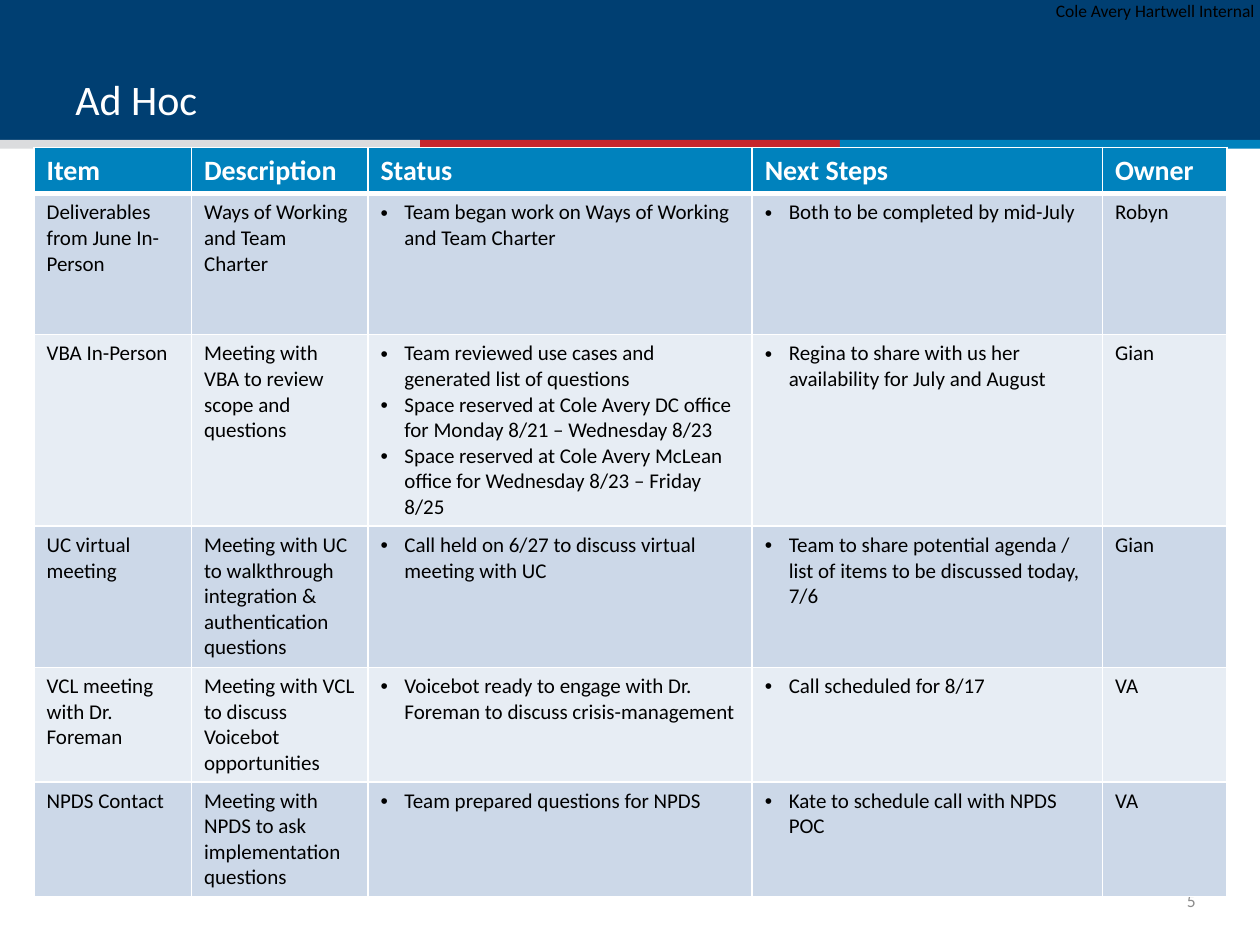
from dataclasses import dataclass

import lxml.etree
import pptx
import pptx.dml.color
import pptx.enum.shapes
import pptx.enum.text
import pptx.oxml.ns
import pptx.util

Anchor = pptx.enum.text.MSO_ANCHOR
Align = pptx.enum.text.PP_ALIGN
qn = pptx.oxml.ns.qn

WIDTH, HEIGHT = pptx.util.Inches(10), pptx.util.Inches(7.5)
FONT = "Calibri"
COLORS = {
    "navy": "003F72", "silver": "DBDCDE", "red": "C6262D", "blue": "0082BD",
    "white": "FFFFFF", "black": "000000", "gray": "8C8C8C",
    "dark band": "CCD8E8", "light band": "E7EDF4",
}


@dataclass
class Box:
    """A frame in percent of the slide's width and height."""
    left: float
    top: float
    width: float
    height: float

    def frame(self) -> tuple[int, int, int, int]:
        return (int(WIDTH * self.left / 100), int(HEIGHT * self.top / 100),
                int(WIDTH * self.width / 100), int(HEIGHT * self.height / 100))


@dataclass
class Label:
    text: str
    box: Box
    size: int
    color: str
    anchor: Anchor = Anchor.TOP
    align: Align = Align.LEFT
    inset: bool = False


@dataclass
class Item:
    name: str
    description: str
    status: list[str]
    next_steps: list[str]
    owner: str
    height: float  # inches


STRIPES = ["silver", "red", "blue"]
LABELS = [
    Label("Cole Avery Hartwell Internal", Box(83.8, 0, 16.5, 2.27), 10, "black"),
    Label("Ad Hoc", Box(5, 1.87, 90, 11.87), 24, "white", Anchor.BOTTOM, inset=True),
    Label("5", Box(92.2, 92.67, 2.7, 5.33), 10, "gray", Anchor.MIDDLE, Align.RIGHT),
]
HEADINGS = ["Item", "Description", "Status", "Next Steps", "Owner"]
COLUMN_WIDTHS = [1.25, 1.4, 3.05, 2.78, 0.99]
HEADER_HEIGHT = 0.36
ITEMS = [
    Item("Deliverables from June In-Person", "Ways of Working and Team Charter",
         ["Team began work on Ways of Working and Team Charter"],
         ["Both to be completed by mid-July"], "Robyn", 1.12),
    Item("VBA In-Person", "Meeting with VBA to review scope and questions",
         ["Team reviewed use cases and generated list of questions",
          "Space reserved at Cole Avery DC office for Monday 8/21 – Wednesday 8/23",
          "Space reserved at Cole Avery McLean office for Wednesday 8/23 – Friday 8/25"],
         ["Regina to share with us her availability for July and August"], "Gian", 1.52),
    Item("UC virtual meeting",
         "Meeting with UC to walkthrough integration & authentication questions",
         ["Call held on 6/27 to discuss virtual meeting with UC"],
         ["Team to share potential agenda / list of items to be discussed today, 7/6"],
         "Gian", 1.12),
    Item("VCL meeting with Dr. Foreman", "Meeting with VCL to discuss Voicebot opportunities",
         ["Voicebot ready to engage with Dr. Foreman to discuss crisis-management"],
         ["Call scheduled for 8/17"], "VA", 0.91),
    Item("NPDS Contact", "Meeting with NPDS to ask implementation questions",
         ["Team prepared questions for NPDS"],
         ["Kate to schedule call with NPDS POC"], "VA", 0.91),
]


def rgb(name: str) -> pptx.dml.color.RGBColor:
    return pptx.dml.color.RGBColor.from_string(COLORS[name])


def style_font(paragraph, size: int, color: str, bold: bool = False) -> None:
    font = paragraph.font
    font.name, font.size, font.bold = FONT, pptx.util.Pt(size), bold
    font.color.rgb = rgb(color)


def draw_band(slide, box: Box, color: str) -> None:
    shape = slide.shapes.add_shape(pptx.enum.shapes.MSO_SHAPE.RECTANGLE, *box.frame())
    shape.shadow.inherit = False
    shape.fill.solid()
    shape.fill.fore_color.rgb = rgb(color)
    shape.line.fill.background()


def draw_label(slide, label: Label) -> None:
    frame = slide.shapes.add_textbox(*label.box.frame()).text_frame
    frame.word_wrap = True
    frame.vertical_anchor = label.anchor
    if not label.inset:
        frame.margin_left = frame.margin_right = frame.margin_top = frame.margin_bottom = 0
    paragraph = frame.paragraphs[0]
    paragraph.text, paragraph.alignment = label.text, label.align
    style_font(paragraph, label.size, label.color)


def add_bullet(paragraph) -> None:
    properties = paragraph._p.get_or_add_pPr()
    indent = pptx.util.Inches(0.19)
    properties.set("marL", str(indent))
    properties.set("indent", str(-indent))
    bullet_font = lxml.etree.Element(qn("a:buFont"), typeface="Arial")
    bullet = lxml.etree.Element(qn("a:buChar"), char="•")
    # Bullets come before the default run properties
    properties.insert(0, bullet_font)
    properties.insert(1, bullet)


def set_borders(cell, top: int, bottom: int) -> None:
    properties = cell._tc.get_or_add_tcPr()
    widths = {"a:lnL": 1, "a:lnR": 1, "a:lnT": top, "a:lnB": bottom}
    for position, (tag, points) in enumerate(widths.items()):
        line = lxml.etree.Element(qn(tag), w=str(pptx.util.Pt(points)))
        fill = lxml.etree.SubElement(line, qn("a:solidFill"))
        lxml.etree.SubElement(fill, qn("a:srgbClr"), val=COLORS["white"])
        properties.insert(position, line)


def fill_cell(cell, content: str | list[str], row: int) -> None:
    header = row == 0
    cell.fill.solid()
    cell.fill.fore_color.rgb = rgb(
        "blue" if header else "dark band" if row % 2 else "light band")
    set_borders(cell, top=3 if row == 1 else 1, bottom=3 if header else 1)
    bulleted = isinstance(content, list)
    cell.text = "\n".join(content) if bulleted else content
    for paragraph in cell.text_frame.paragraphs:
        style_font(paragraph, 16 if header else 12, "white" if header else "black", header)
        if bulleted:
            add_bullet(paragraph)


def draw_table(slide) -> None:
    heights = [HEADER_HEIGHT] + [item.height for item in ITEMS]
    rows = [HEADINGS] + [
        [item.name, item.description, item.status, item.next_steps, item.owner]
        for item in ITEMS]
    table = slide.shapes.add_table(
        len(rows), len(HEADINGS), pptx.util.Inches(0.27), pptx.util.Inches(1.17),
        pptx.util.Inches(sum(COLUMN_WIDTHS)), pptx.util.Inches(sum(heights))).table
    for column, width in zip(table.columns, COLUMN_WIDTHS):
        column.width = pptx.util.Inches(width)
    for row, (contents, height) in enumerate(zip(rows, heights)):
        table.rows[row].height = pptx.util.Inches(height)
        for column, content in enumerate(contents):
            fill_cell(table.cell(row, column), content, row)


def main() -> None:
    presentation = pptx.Presentation()
    presentation.slide_width, presentation.slide_height = WIDTH, HEIGHT
    slide = presentation.slides.add_slide(presentation.slide_layouts[6])

    # Header band with a three-colour stripe below it
    draw_band(slide, Box(0, 0, 100, 15.2), "navy")
    stripe_width = 100 / len(STRIPES)
    for index, color in enumerate(STRIPES):
        draw_band(slide, Box(index * stripe_width, 14.8, stripe_width, 0.93), color)

    # Marking, title and page number
    for label in LABELS:
        draw_label(slide, label)

    # Status table
    draw_table(slide)
    presentation.save("out.pptx")


if __name__ == "__main__":
    main()
